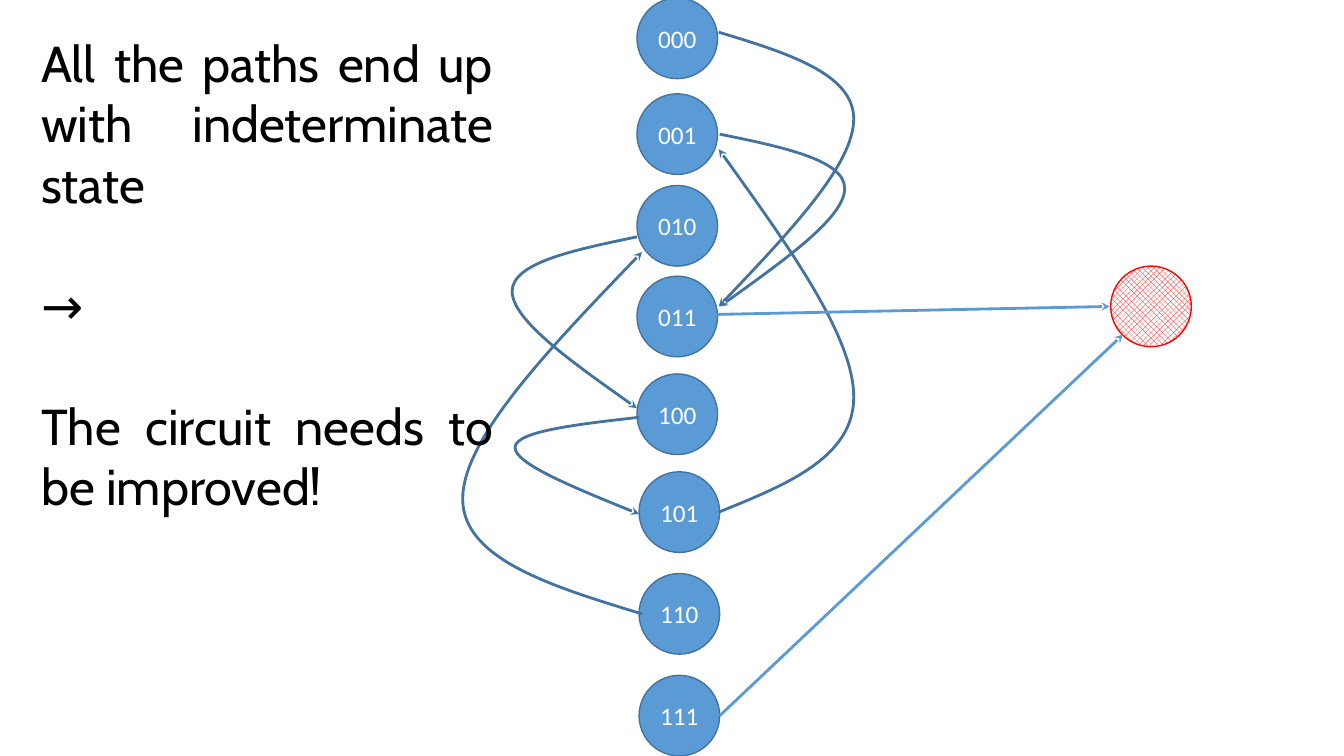
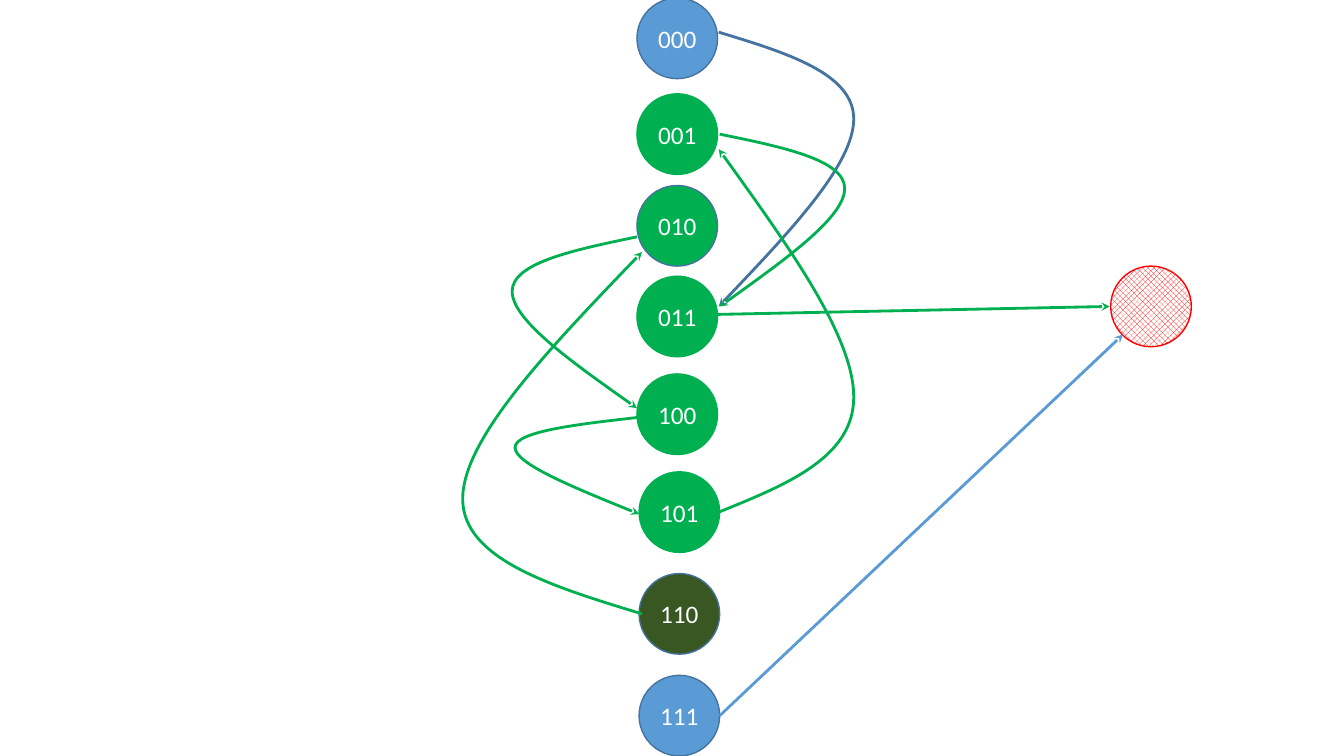
import pptx
import pptx.dml.color
import pptx.enum.dml
import pptx.enum.shapes
import pptx.enum.text
import pptx.oxml
import pptx.oxml.ns
import pptx.util
import lxml.etree

Pt = pptx.util.Pt
qn = pptx.oxml.ns.qn
RGB = pptx.dml.color.RGBColor.from_string
ALIGN = pptx.enum.text.PP_ALIGN

COLORS = {
    "blue": "5B9BD5",
    "navy": "43739E",
    "green": "00B050",
    "dark green": "385723",
    "red": "FF0000",
    "white": "FFFFFF",
    "black": "000000",
}
DIAMETER = 57.6

STATES = {
    "000": (455, -1.4),
    "001": (455, 67),
    "010": (455, 132.5),
    "011": (455, 197.3),
    "100": (455, 267.1),
    "101": (456.5, 337),
    "110": (456.5, 409.7),
    "111": (456.5, 482.4),
}
CURVES = {
    "000": (513.4, 23, 218.9, 609.8, 85),
    "001": (514.1, 95.8, 218.9, 603.4, 134.6),
    "010": (455, 169.2, 291.6, 365.8, 208.1),
    "100": (456.5, 298.1, 367.2, 367.9, 319.7),
    "101": (513.4, 365.8, 106.6, 609.8, 283.7),
    "110": (458.6, 438.5, 180, 330.5, 356.4),
}
STRAIGHTS = {
    "011": (511.9, 224.6, 792.7, 218.9),
    "111": (514.1, 511.2, 802.1, 239),
}
HIGHLIGHTS = [
    {"fill": {}, "outline": {}, "arrow": {}},
    {
        "fill": {**dict.fromkeys(["001", "010", "011", "100", "101"], "green"), "110": "dark green"},
        "outline": dict.fromkeys(["001", "011", "100", "101"], "green"),
        "arrow": dict.fromkeys(["001", "010", "011", "100", "101", "110"], "green"),
    },
]
MESSAGE = [
    "All the paths end up with indeterminate state",
    "→",
    "The circuit needs to be improved!",
]


def add_circle(slide, left, top, outline):
    circle = slide.shapes.add_shape(
        pptx.enum.shapes.MSO_SHAPE.OVAL, Pt(left), Pt(top), Pt(DIAMETER), Pt(DIAMETER)
    )
    circle.shadow.inherit = False
    circle.line.color.rgb = RGB(COLORS[outline])
    circle.line.width = Pt(1)
    return circle


def style_arrow(shape, color):
    shape.line.color.rgb = RGB(COLORS[color])
    shape.line.width = Pt(2)
    line = shape.element.spPr.find(qn("a:ln"))
    lxml.etree.SubElement(line, qn("a:tailEnd"), type="stealth")


presentation = pptx.Presentation()
presentation.slide_width = Pt(960)
presentation.slide_height = Pt(540)

for highlight in HIGHLIGHTS:
    slide = presentation.slides.add_slide(presentation.slide_layouts[6])

    for state, (left, top) in STATES.items():
        circle = add_circle(slide, left, top, highlight["outline"].get(state, "navy"))
        circle.fill.solid()
        circle.fill.fore_color.rgb = RGB(COLORS[highlight["fill"].get(state, "blue")])
        text_frame = circle.text_frame
        text_frame.margin_left = text_frame.margin_right = 0
        text_frame.margin_top = text_frame.margin_bottom = 0
        text_frame.vertical_anchor = pptx.enum.text.MSO_ANCHOR.MIDDLE
        text_frame.text = state
        paragraph = text_frame.paragraphs[0]
        paragraph.alignment = ALIGN.CENTER
        font = paragraph.runs[0].font
        font.name = "Calibri"
        font.size = Pt(18)
        font.color.rgb = RGB(COLORS["white"])

    trap = add_circle(slide, 793.4, 190.1, "red")
    trap.fill.patterned()
    trap.fill.pattern = pptx.enum.dml.MSO_PATTERN.LARGE_CHECKER_BOARD
    trap.fill.fore_color.rgb = RGB(COLORS["red"])
    trap.fill.back_color.rgb = RGB(COLORS["white"])

    for state, (x, start_y, end_y, bulge_x, bulge_y) in CURVES.items():
        middle_x = (x + bulge_x) / 2
        reach = (end_y - start_y) / 6
        before, after = bulge_y - reach, bulge_y + reach
        points = [
            (middle_x, (start_y + before) / 2),
            (bulge_x, before),
            (bulge_x, bulge_y),
            (bulge_x, after),
            (middle_x, (after + end_y) / 2),
            (x, end_y),
        ]
        builder = slide.shapes.build_freeform(Pt(x), Pt(start_y))
        builder.add_line_segments([(Pt(a), Pt(b)) for a, b in points], close=False)
        curve = builder.convert_to_shape()
        outline = next(curve.element.iter(qn("a:path")))
        segments = outline.findall(qn("a:lnTo"))
        for first in range(0, len(segments), 3):
            bezier = lxml.etree.SubElement(outline, qn("a:cubicBezTo"))
            for segment in segments[first:first + 3]:
                bezier.append(segment[0])
                outline.remove(segment)
        curve.shadow.inherit = False
        curve.fill.background()
        style_arrow(curve, highlight["arrow"].get(state, "navy"))

    for state, ends in STRAIGHTS.items():
        connector = slide.shapes.add_connector(
            pptx.enum.shapes.MSO_CONNECTOR.STRAIGHT, *[Pt(value) for value in ends]
        )
        style_arrow(connector, highlight["arrow"].get(state, "blue"))
        lxml.etree.SubElement(connector.element.spPr, qn("a:effectLst"))

text_box = presentation.slides[0].shapes.add_textbox(Pt(22.3), Pt(19.4), Pt(337), Pt(356.4))
text_frame = text_box.text_frame
text_frame.word_wrap = True
text_frame.auto_size = pptx.enum.text.MSO_AUTO_SIZE.SHAPE_TO_FIT_TEXT
text_frame.text = "\n".join(MESSAGE)
for index, paragraph in enumerate(text_frame.paragraphs):
    paragraph.alignment = ALIGN.JUSTIFY
    paragraph.space_before = Pt(43.2 if index else 0)
    font = paragraph.runs[0].font
    font.name = "Cabin"
    font.size = Pt(36)
    font.color.rgb = RGB(COLORS["black"])

presentation.save("out.pptx")
